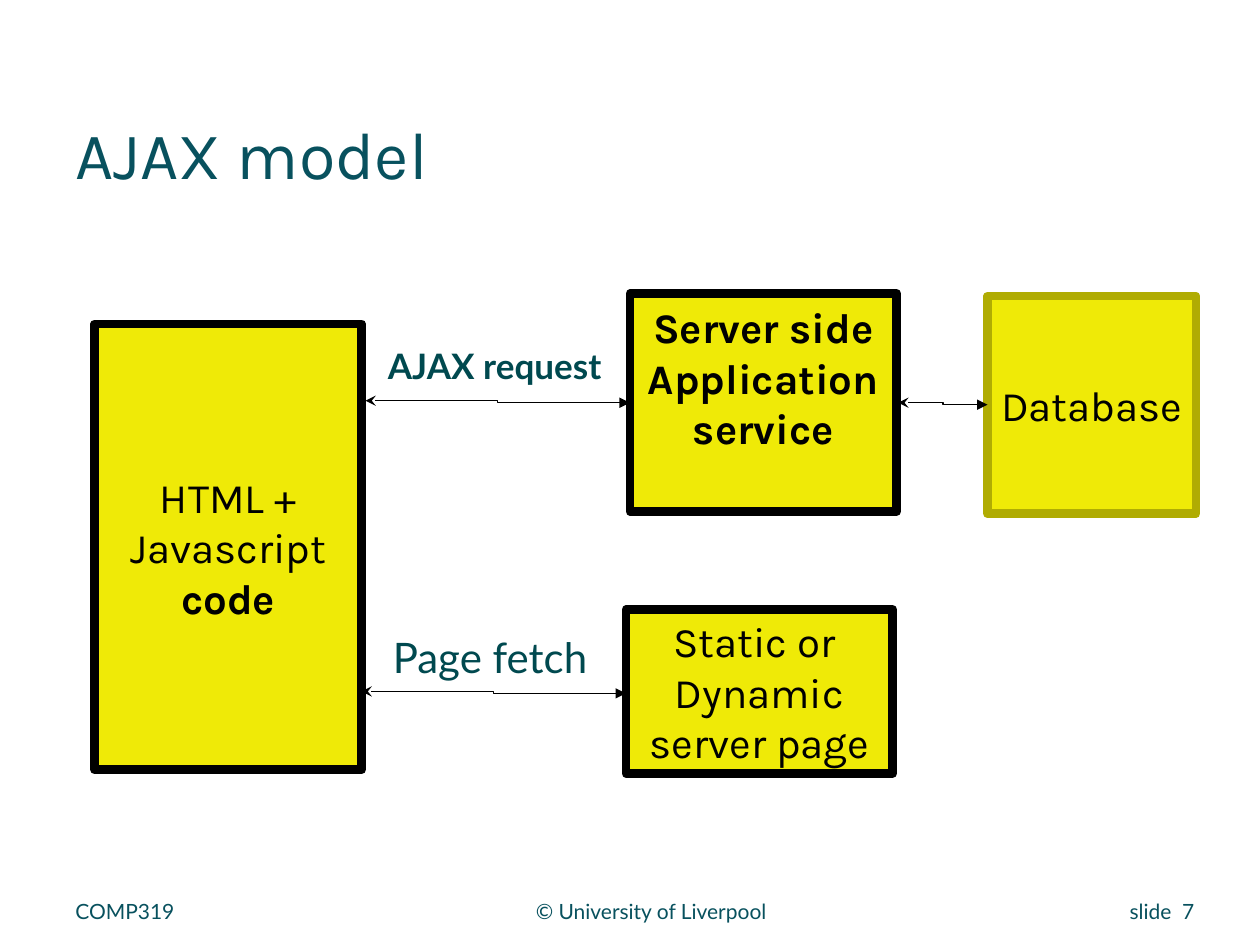
from dataclasses import dataclass

import pptx
import pptx.dml.color
import pptx.enum.shapes
import pptx.enum.text
import pptx.oxml.ns
import pptx.util
from lxml import etree

Cm = pptx.util.Cm
Pt = pptx.util.Pt
RGBColor = pptx.dml.color.RGBColor
Align = pptx.enum.text.PP_ALIGN
Anchor = pptx.enum.text.MSO_ANCHOR

BLACK = RGBColor(0x00, 0x00, 0x00)
YELLOW = RGBColor(0xEF, 0xEA, 0x07)
OLIVE = RGBColor(0xB0, 0xAC, 0x03)
TEAL = RGBColor(0x08, 0x51, 0x5E)
DARK_TEAL = RGBColor(0x00, 0x49, 0x4F)

INSET_X = 0.25
INSET_Y = 0.13


@dataclass(frozen=True)
class Label:
    text: str
    left: float
    top: float
    width: float
    height: float
    size: float
    color: RGBColor = TEAL
    font: str = "Lato"
    bold: bool = False
    align: Align = Align.LEFT
    anchor: Anchor = Anchor.TOP
    wrap: bool = True


@dataclass(frozen=True)
class Box:
    text: str
    left: float
    top: float
    width: float
    height: float
    border: RGBColor = BLACK
    bold_lines: tuple[int, ...] = ()
    inset_bottom: float = INSET_Y


@dataclass(frozen=True)
class Link:
    start_x: float
    start_y: float
    end_x: float
    end_y: float


LABELS = (
    Label("AJAX model", 1.27, 2.16, 22.86, 1.83, 38, font="Karla", anchor=Anchor.MIDDLE),
    Label("© University of Liverpool", 10.16, 17.98, 5.94, 1.07, 12, align=Align.CENTER),
    Label("COMP319", 1.27, 17.98, 8.46, 1.07, 12),
    Label("slide  7", 20.52, 17.98, 3.81, 0.84, 12, align=Align.RIGHT),
    Label("Page fetch", 7.67, 12.6, 4.72, 1.27, 24, DARK_TEAL, wrap=False),
    Label("AJAX request", 7.57, 6.81, 5.11, 1.12, 20, DARK_TEAL, bold=True, wrap=False),
)

BOXES = (
    Box("HTML +\nJavascript\ncode", 1.91, 6.53, 5.38, 8.99, bold_lines=(2,)),
    Box("Server side\nApplication service", 12.7, 5.92, 5.38, 4.39,
        bold_lines=(0, 1), inset_bottom=1.14),
    Box("Static or \nDynamic\nserver page", 12.62, 12.29, 5.38, 3.3),
    Box("Database", 19.91, 5.97, 4.2, 4.39, border=OLIVE),
)

LINKS = (
    Link(12.62, 13.98, 7.29, 13.94),
    Link(12.7, 8.12, 7.37, 8.08),
    Link(19.91, 8.16, 18.11, 8.12),
)


def set_frame(text_frame, text: str, anchor: Anchor, bottom: float = INSET_Y) -> None:
    text_frame.text = text
    text_frame.word_wrap = True
    text_frame.vertical_anchor = anchor
    text_frame.margin_left = text_frame.margin_right = Cm(INSET_X)
    text_frame.margin_top = Cm(INSET_Y)
    text_frame.margin_bottom = Cm(bottom)


def format_paragraph(paragraph, align: Align, font: str, size: float,
                     color: RGBColor, bold: bool) -> None:
    paragraph.alignment = align
    for run in paragraph.runs:
        run.font.name = font
        run.font.size = Pt(size)
        run.font.bold = bold
        run.font.color.rgb = color


def draw_label(slide, label: Label) -> None:
    shape = slide.shapes.add_textbox(
        Cm(label.left), Cm(label.top), Cm(label.width), Cm(label.height))
    text_frame = shape.text_frame
    set_frame(text_frame, label.text, label.anchor)
    if not label.wrap:
        text_frame.word_wrap = False
        text_frame.auto_size = pptx.enum.text.MSO_AUTO_SIZE.SHAPE_TO_FIT_TEXT
    format_paragraph(text_frame.paragraphs[0], label.align, label.font,
                     label.size, label.color, label.bold)


def draw_box(slide, box: Box) -> None:
    shape = slide.shapes.add_shape(
        pptx.enum.shapes.MSO_SHAPE.RECTANGLE,
        Cm(box.left), Cm(box.top), Cm(box.width), Cm(box.height))
    shape.shadow.inherit = False
    shape.fill.solid()
    shape.fill.fore_color.rgb = YELLOW
    shape.line.color.rgb = box.border
    shape.line.width = Pt(5)
    set_frame(shape.text_frame, box.text, Anchor.MIDDLE, box.inset_bottom)
    for index, paragraph in enumerate(shape.text_frame.paragraphs):
        format_paragraph(paragraph, Align.CENTER, "Karla", 24, BLACK,
                         index in box.bold_lines)


def draw_link(slide, link: Link) -> None:
    connector = slide.shapes.add_connector(
        pptx.enum.shapes.MSO_CONNECTOR.ELBOW,
        Cm(link.start_x), Cm(link.start_y), Cm(link.end_x), Cm(link.end_y))
    connector.line.color.rgb = BLACK
    connector.line.width = Pt(0.75)
    qualified = pptx.oxml.ns.qn
    line = connector.line._get_or_add_ln()
    for tag, arrow in (("a:headEnd", "triangle"), ("a:tailEnd", "stealth")):
        etree.SubElement(line, qualified(tag), type=arrow)
    etree.SubElement(connector._element.spPr, qualified("a:effectLst"))


def main() -> None:
    presentation = pptx.Presentation()
    presentation.slide_width = Cm(25.4)
    presentation.slide_height = Cm(19.05)
    slide = presentation.slides.add_slide(presentation.slide_layouts[6])
    for box in BOXES:
        draw_box(slide, box)
    for link in LINKS:
        draw_link(slide, link)
    for label in LABELS:
        draw_label(slide, label)
    presentation.save("out.pptx")


if __name__ == "__main__":
    main()
